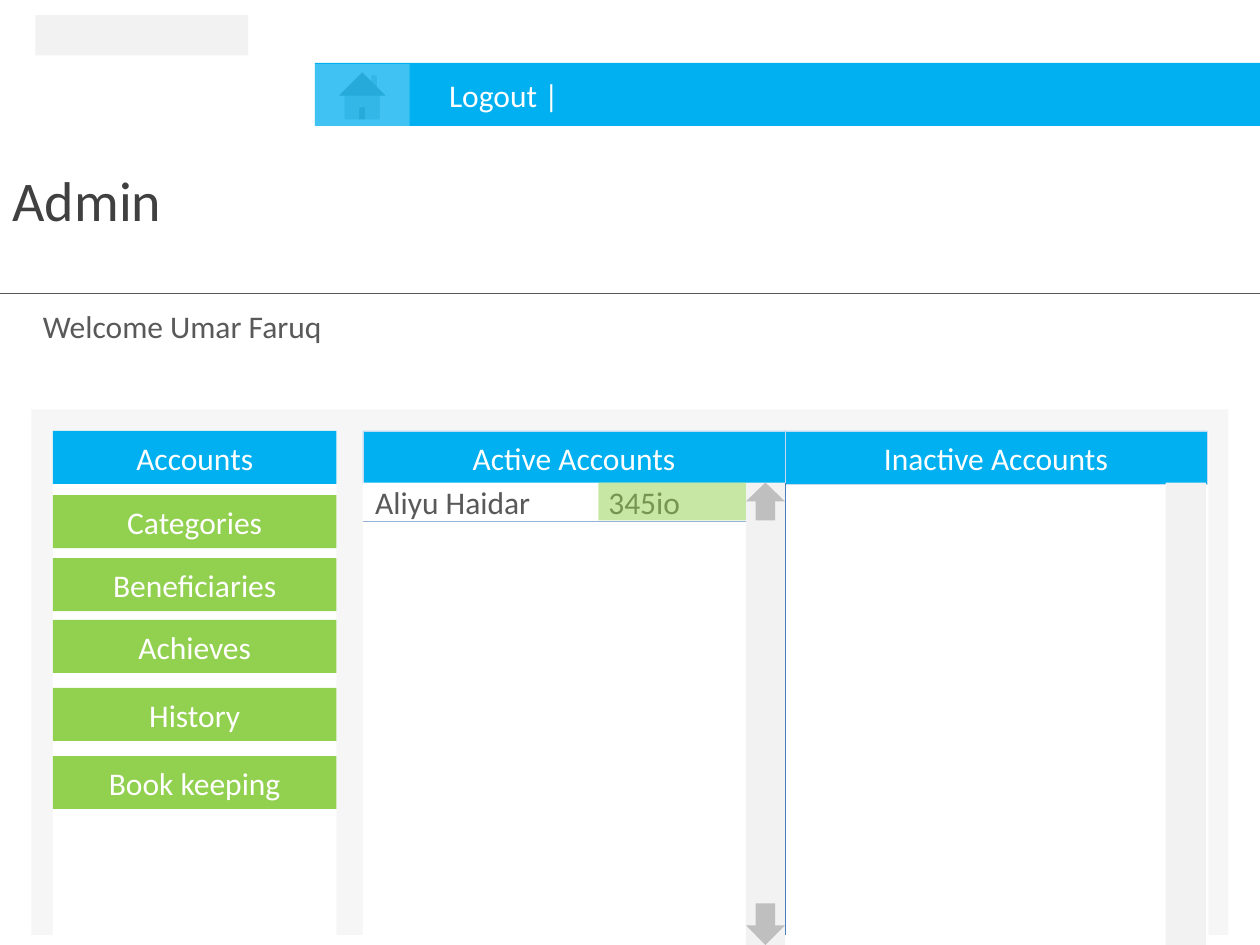
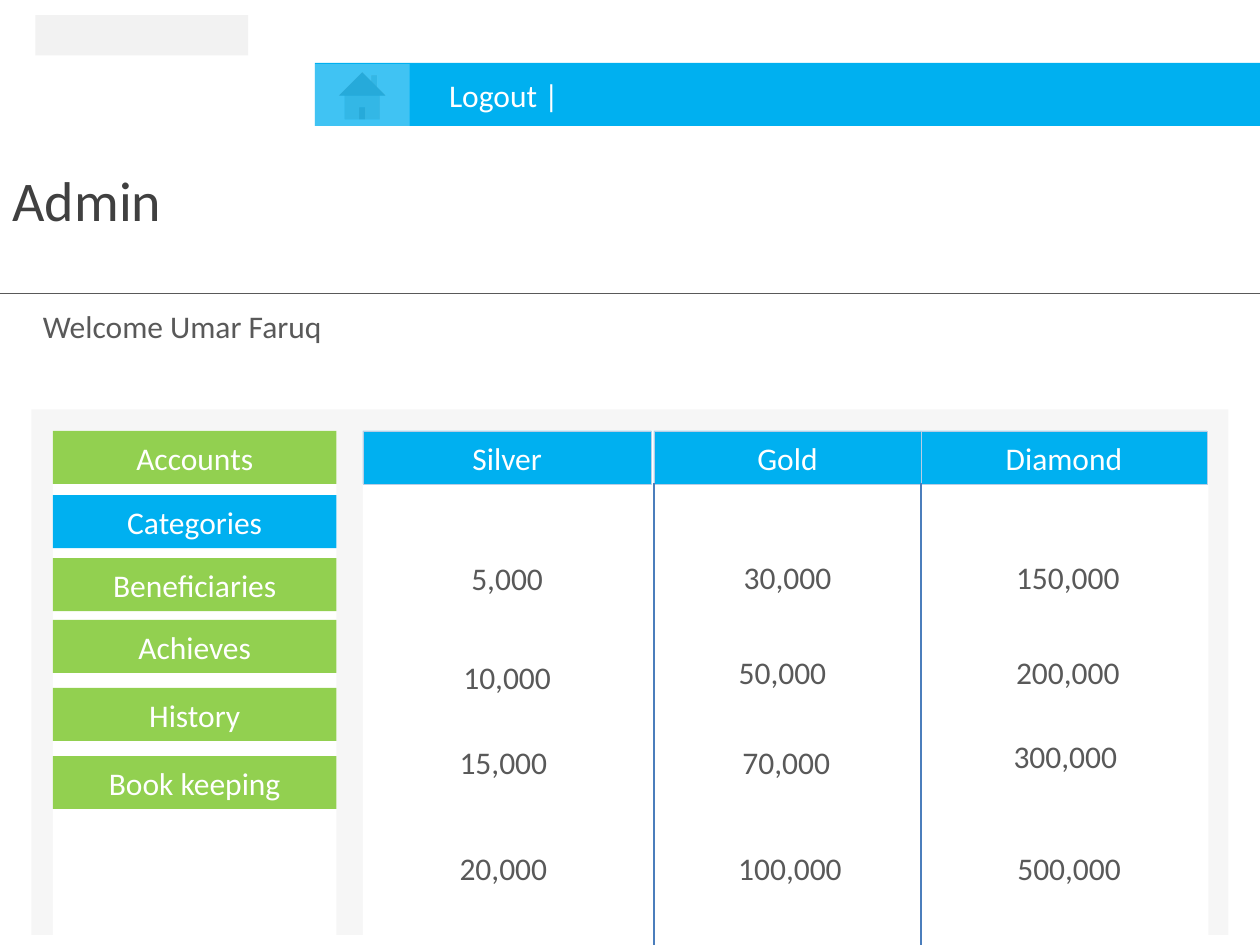
from lxml.etree import SubElement
from pptx import Presentation
from pptx.dml.color import RGBColor
from pptx.enum.shapes import MSO_CONNECTOR as Link, MSO_SHAPE as Kind
from pptx.enum.text import MSO_ANCHOR as Anchor, MSO_AUTO_SIZE as Fit, PP_ALIGN as Align
from pptx.oxml.ns import qn
from pptx.util import Inches, Pt

COLORS = {
    "blue": "00B0F0", "green": "92D050", "white": "FFFFFF",
    "ink": "404040", "text": "595959", "gray": "BFBFBF", "panel": "D9D9D9",
    "track": "F2F2F2", "edge": "C6D9F1", "rim": "B9CDE5", "rule": "4B7EBC",
    "row": "95B3D7",
}
FONT = "Calibri"
TITLE = "Admin"
LOGOUT = "Logout |"
WELCOME = "Welcome Umar Faruq "
MENU = [
    ("Accounts", 3.42), ("Categories", 3.93), ("Beneficiaries", 4.43),
    ("Achieves", 4.92), ("History", 5.46), ("Book keeping", 6),
]
LISTS = [("Active Accounts", 2.88, 3.35), ("Inactive Accounts", 6.23, 3.35)]
ENTRY = "Aliyu Haidar\t345io"
TRACKS = [(5.92, 0.31), (9.25, 0.32)]
ARROWS = [(Kind.UP_ARROW, 3.83, 0.3), (Kind.DOWN_ARROW, 7.17, 0.33)]
TIERS = [("Silver", 2.88, 2.29), ("Gold", 5.19, 2.12), ("Diamond", 7.31, 2.27)]
PRICES = [
    (2.29, [("5,000", 2.88, 4.34), ("10,000", 2.88, 5.12),
            ("15,000", 2.85, 5.8), ("20,000", 2.85, 6.64)]),
    (2.12, [("30,000", 5.19, 4.33), ("50,000", 5.15, 5.08),
            ("70,000", 5.18, 5.8), ("100,000", 5.21, 6.64)]),
    (2.29, [("150,000", 7.33, 4.33), ("200,000", 7.33, 5.08),
            ("300,000", 7.31, 5.75), ("500,000", 7.34, 6.64)]),
]
HEAD_TOP, HEAD_HIGH, BODY_TOP = 3.42, 0.42, 3.83


def rgb(name):
    return RGBColor.from_string(COLORS[name])


def write(item, text, color, size=18, align=Align.CENTER):
    frame = item.text_frame
    frame.word_wrap = True
    frame.auto_size = Fit.NONE
    frame.vertical_anchor = Anchor.MIDDLE
    frame.text = text
    para = frame.paragraphs[0]
    para.alignment = align
    for run in para.runs:
        run.font.name, run.font.size = FONT, Pt(size)
        run.font.color.rgb = rgb(color)
    return para


def block(slide, box, fill, kind=Kind.RECTANGLE, alpha=None, edge=None):
    item = slide.shapes.add_shape(kind, *map(Inches, box))
    item.shadow.inherit = False
    item.fill.solid()
    item.fill.fore_color.rgb = rgb(fill)
    if alpha:
        tone = item.fill._xPr.find(qn("a:solidFill"))[0]
        SubElement(tone, qn("a:alpha"), val=str(alpha * 1000))
    if edge:
        item.line.color.rgb = rgb(edge)
        item.line.width = Pt(0.25)
    else:
        item.line.fill.background()
    return item


def label(slide, box, text, color="text"):
    write(slide.shapes.add_textbox(*map(Inches, box)), text, color)


def rule(slide, start, end, color):
    line = slide.shapes.add_connector(Link.STRAIGHT, *map(Inches, start + end))
    line.line.color.rgb = rgb(color)
    line.line.width = Pt(0.75)
    SubElement(line._element.spPr, qn("a:effectLst"))


def heads(slide, items, edge):
    for text, left, width in items:
        head = block(slide, (left, HEAD_TOP, width, HEAD_HIGH), "blue", edge=edge)
        write(head, text, "white")


def frame_page(deck, active):
    slide = deck.slides.add_slide(deck.slide_layouts[5])
    title = slide.shapes.title
    title.left, title.top, title.width, title.height = map(Inches, (0, 1.33, 4.25, 0.5))
    write(title, TITLE, "ink", 32, Align.LEFT)

    block(slide, (0.28, 0.12, 1.69, 0.32), "track")
    block(slide, (2.5, 0.5, 7.5, 0.5), "blue")
    block(slide, (2.5, 0.51, 0.75, 0.5), "white", Kind.ACTION_BUTTON_HOME, 25)
    label(slide, (3.25, 0.54, 1.5, 0.42), LOGOUT, "white")
    rule(slide, (0, 2.33), (10, 2.33), "text")
    label(slide, (0.08, 2.42, 2.79, 0.33), WELCOME)

    block(slide, (0.25, 3.25, 9.5, 4.17), "panel", alpha=21)
    block(slide, (0.42, HEAD_TOP, 2.25, 4.08), "white")
    for text, top in MENU:
        fill = "blue" if text == active else "green"
        write(block(slide, (0.42, top, 2.25, HEAD_HIGH), fill), text, "white")
    block(slide, (2.88, HEAD_TOP, 6.71, 4), "white")
    return slide


def accounts(deck):
    slide = frame_page(deck, "Accounts")
    heads(slide, LISTS, "edge")
    rule(slide, (6.23, BODY_TOP), (6.23, 7.42), "rule")
    for left, width in TRACKS:
        block(slide, (left, BODY_TOP, width, 3.67), "track")
    for kind, top, high in ARROWS:
        block(slide, (5.92, top, 0.31, high), "gray", kind)
    entry = block(slide, (2.88, BODY_TOP, 3.04, 0.3), "white")
    para = write(entry, ENTRY, "text", align=Align.LEFT)
    tabs = SubElement(para._p.get_or_add_pPr(), qn("a:tabLst"))
    SubElement(tabs, qn("a:tab"), pos=str(Inches(1.85)), algn="l")
    rule(slide, (2.88, 4.14), (5.92, 4.14), "row")
    block(slide, (4.75, BODY_TOP, 1.17, 0.3), "green", alpha=51)


def tiers(deck):
    slide = frame_page(deck, "Categories")
    heads(slide, TIERS, "rim")
    for _, left, _ in TIERS[1:]:
        rule(slide, (left, BODY_TOP), (left, 7.5), "rule")
    for width, cells in PRICES:
        for text, left, top in cells:
            label(slide, (left, top, width, 0.5), text)


def main():
    deck = Presentation()
    deck.slide_width, deck.slide_height = Inches(10), Inches(7.5)
    accounts(deck)
    tiers(deck)
    deck.save("out.pptx")


if __name__ == "__main__":
    main()
